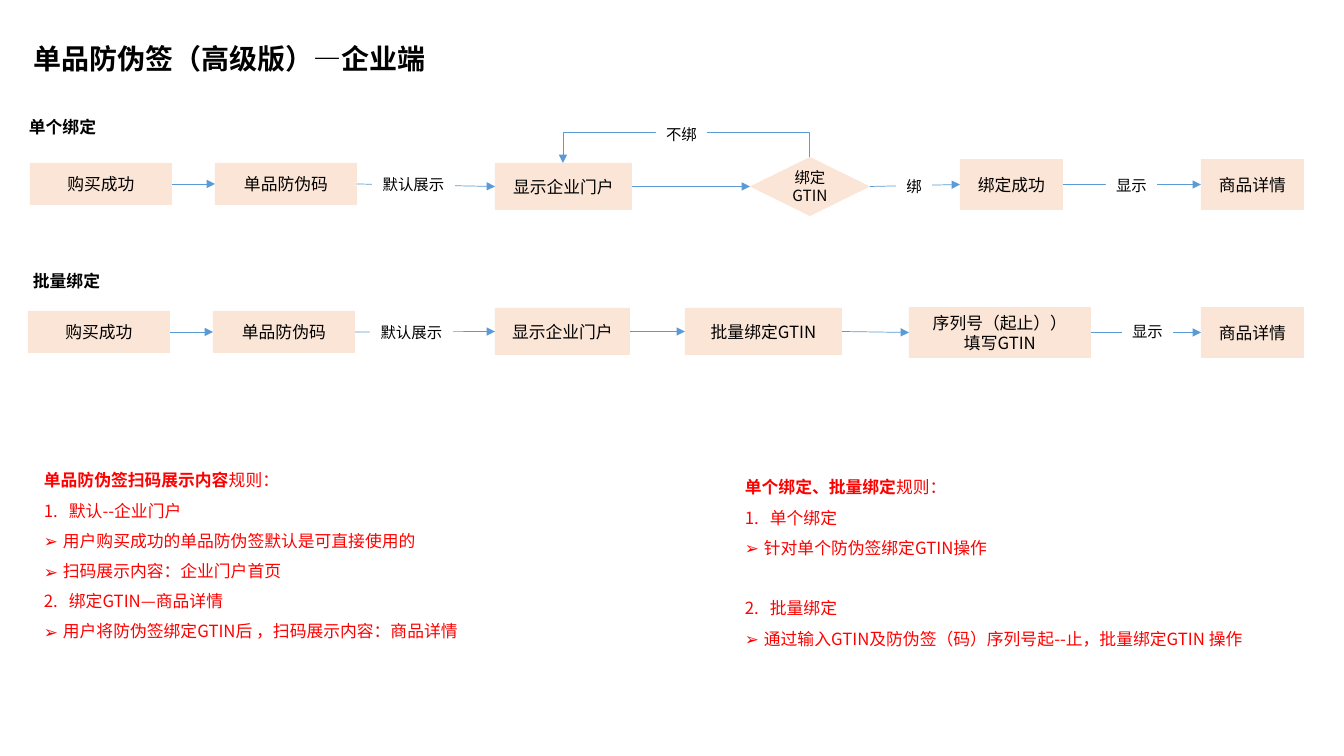
import pptx
import pptx.util
import pptx.dml.color
import pptx.enum.shapes
import pptx.enum.text
import pptx.oxml.ns
import lxml.etree

SCALE = 914400 / 100.8
THEME = {
    "font": "Noto Sans CJK SC",
    "ink": "000000", "rule": "FF0000", "box": "FBE5D6",
    "label": "FFFFFF", "line": "5B9BD5",
    "title": 20, "body": 12, "small": 11, "stroke": 0.5,
}
FORM = pptx.enum.shapes.MSO_SHAPE
LINK = pptx.enum.shapes.MSO_CONNECTOR
ALIGN = pptx.enum.text.PP_ALIGN
ANCHOR = pptx.enum.text.MSO_ANCHOR
qn = pptx.oxml.ns.qn


def px(*sizes):
    return [pptx.util.Emu(round(size * SCALE)) for size in sizes]


def write(shape, paras, size=THEME["body"], color=THEME["ink"], bold=False,
          align=ALIGN.LEFT, anchor=ANCHOR.TOP, wrap=True, lines=None):
    frame = shape.text_frame
    frame.word_wrap = wrap
    frame.auto_size = pptx.enum.text.MSO_AUTO_SIZE.NONE
    frame.vertical_anchor = anchor
    for index, (mark, gap, parts) in enumerate(paras):
        para = frame.paragraphs[0] if index == 0 else frame.add_paragraph()
        para.alignment = align
        if lines:
            para.line_spacing = lines
        if gap:
            para.space_before = pptx.util.Pt(gap)
        if mark:
            props = para._p.get_or_add_pPr()
            indent = px(19 if mark == "➢" else 25)[0]
            props.set("marL", str(indent))
            props.set("indent", str(-indent))
            face = lxml.etree.SubElement(props, qn("a:buFont"))
            face.set("typeface", THEME["font"])
            if mark == "➢":
                lxml.etree.SubElement(props, qn("a:buChar")).set("char", mark)
            else:
                auto = lxml.etree.SubElement(props, qn("a:buAutoNum"))
                auto.set("type", "arabicPeriod")
                auto.set("startAt", mark)
        for part, text in enumerate(parts):
            run = para.add_run()
            run.text = text
            run.font.size = pptx.util.Pt(size)
            run.font.bold = bold and not mark and part == 0
            run.font.name = THEME["font"]
            run.font.color.rgb = pptx.dml.color.RGBColor.from_string(color)
            east = lxml.etree.SubElement(run.font._element, qn("a:ea"))
            east.set("typeface", THEME["font"])


deck = pptx.Presentation()
deck.slide_width, deck.slide_height = px(1344, 756)
slide = deck.slides.add_slide(deck.slide_layouts[5])
shapes = slide.shapes

title = shapes.title
title.left, title.top, title.width, title.height = px(23, 36, 418, 44)
write(title, [(None, 0, ["单品防伪签（高级版）—企业端"])],
      size=THEME["title"], bold=True, wrap=False)

for text, left, top in [("单个绑定", 19, 112), ("批量绑定", 23, 266)]:
    head = shapes.add_textbox(*px(left, top, 89, 30))
    write(head, [(None, 0, [text])], bold=True, wrap=False)

ROWS = [
    [("购买成功", 30, 163, 142, 42), ("单品防伪码", 215, 163, 142, 42),
     ("显示企业门户", 495, 163, 137, 47), ("绑定GTIN", 750, 157, 120, 59),
     ("绑定成功", 960, 159, 103, 51), ("商品详情", 1201, 159, 103, 51)],
    [("购买成功", 28, 311, 142, 42), ("单品防伪码", 213, 311, 142, 42),
     ("显示企业门户", 495, 308, 135, 47), ("批量绑定GTIN", 685, 308, 157, 47),
     ("序列号（起止））\n填写GTIN", 909, 307, 182, 51),
     ("商品详情", 1201, 307, 103, 51)],
]
wires = []
for row in ROWS:
    last = None
    for text, *place in row:
        choice = text == "绑定GTIN"
        box = shapes.add_shape(FORM.DIAMOND if choice else FORM.RECTANGLE, *px(*place))
        box.shadow.inherit = False
        box.fill.solid()
        box.fill.fore_color.rgb = pptx.dml.color.RGBColor.from_string(THEME["box"])
        box.line.fill.background()
        write(box, [(None, 0, [part]) for part in text.split("\n")],
              size=THEME["small" if choice else "body"],
              align=ALIGN.CENTER, anchor=ANCHOR.MIDDLE)
        if last is not None:
            wire = shapes.add_connector(LINK.STRAIGHT, 0, 0, 0, 0)
            wire.begin_connect(last, 3)
            wire.end_connect(box, 1)
            wires.append(wire)
        last = box

back = shapes.add_connector(LINK.ELBOW, *px(689, 283, 683, 37))
back.rotation = 270
guide = lxml.etree.SubElement(back._element.spPr.find(".//" + qn("a:avLst")), qn("a:gd"))
guide.set("name", "adj1")
guide.set("fmla", "val -419300")

for wire in wires + [back]:
    wire.line.width = pptx.util.Pt(THEME["stroke"])
    wire.line.color.rgb = pptx.dml.color.RGBColor.from_string(THEME["line"])
    tail = lxml.etree.SubElement(wire.line._get_or_add_ln(), qn("a:tailEnd"))
    tail.set("type", "triangle")
    lxml.etree.SubElement(wire._element.spPr, qn("a:effectLst"))

LABELS = [
    ("默认展示", 372, 170, 83), ("不绑", 656, 120, 51), ("绑", 896, 172, 36),
    ("显示", 1106, 171, 51), ("默认展示", 370, 318, 83), ("显示", 1122, 317, 51),
]
for text, left, top, width in LABELS:
    label = shapes.add_textbox(*px(left, top, width, 29))
    label.fill.solid()
    label.fill.fore_color.rgb = pptx.dml.color.RGBColor.from_string(THEME["label"])
    write(label, [(None, 0, [text])], size=THEME["small"],
          align=ALIGN.CENTER, wrap=False)

NOTES = [
    ((34, 455, 450, 194), [
        (None, 0, ["单品防伪签扫码展示内容", "规则："]),
        ("1", 0, ["默认--企业门户"]),
        ("➢", 0, ["用户购买成功的单品防伪签默认是可直接使用的"]),
        ("➢", 0, ["扫码展示内容：企业门户首页"]),
        ("2", 0, ["绑定GTIN—商品详情"]),
        ("➢", 0, ["用户将防伪签绑定GTIN后 ，扫码展示内容：商品详情"]),
    ]),
    ((735, 462, 530, 194), [
        (None, 0, ["单个绑定、批量绑定", "规则："]),
        ("1", 0, ["单个绑定"]),
        ("➢", 0, ["针对单个防伪签绑定GTIN操作"]),
        ("2", 21.6, ["批量绑定"]),
        ("➢", 0, ["通过输入GTIN及防伪签（码）序列号起--止，批量绑定GTIN 操作"]),
    ]),
]
for place, paras in NOTES:
    note = shapes.add_textbox(*px(*place))
    write(note, paras, color=THEME["rule"], bold=True, lines=1.5)

deck.save("out.pptx")
